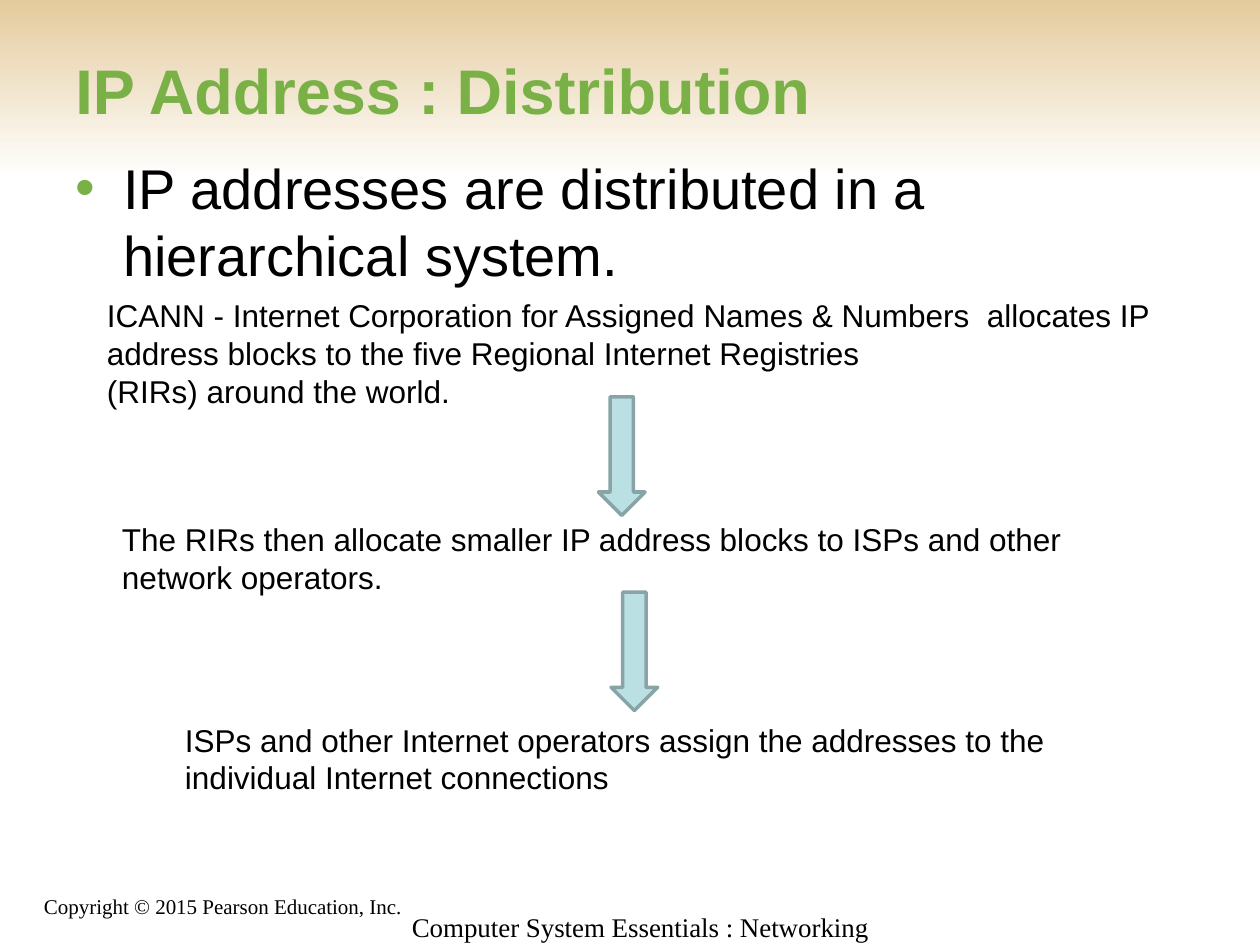
from dataclasses import dataclass

from lxml import etree
from pptx import Presentation
from pptx import util as u
from pptx.dml.color import RGBColor
from pptx.enum import shapes, text
from pptx.oxml import ns

COLORS = {
    "sand": "E4CB9D",
    "white": "FFFFFF",
    "green": "79B146",
    "black": "000000",
    "arrow": "BBE0E3",
    "outline": "89A4A7",
}


@dataclass
class TextBlock:
    left: float
    top: float
    width: float
    height: float
    lines: tuple[str, ...]
    size: float = 18
    font: str = "Arial"
    color: str = "black"
    bold: bool = False
    anchor: text.MSO_ANCHOR = text.MSO_ANCHOR.TOP
    spacing: float = 1.0
    bullet: bool = False


@dataclass
class DownArrow:
    left: float
    top: float
    width: float = 0.37
    height: float = 0.94


TEXT_BLOCKS = (
    TextBlock(0.25, 6.92, 6.08, 0.42, ("Copyright © 2015 Pearson Education, Inc.",),
              size=12, font="Times New Roman", anchor=text.MSO_ANCHOR.BOTTOM),
    TextBlock(0.5, 0.08, 9.08, 1.25, ("IP Address : Distribution",),
              size=36, color="green", bold=True, anchor=text.MSO_ANCHOR.MIDDLE),
    TextBlock(0.5, 1.17, 9, 4.95,
              ("IP addresses are distributed in a hierarchical system.",),
              size=32, bullet=True),
    TextBlock(3.17, 7.23, 3.92, 0.52, ("Computer System Essentials : Networking",),
              size=15.4, font="Times New Roman", spacing=0.8),
    TextBlock(0.75, 2.3, 8.75, 1,
              ("ICANN - Internet Corporation for Assigned Names & Numbers  allocates IP "
               "address blocks to the five Regional Internet Registries",
               "(RIRs) around the world.")),
    TextBlock(0.87, 4.08, 8.17, 0.7,
              ("The RIRs then allocate smaller IP address blocks to ISPs and other "
               "network operators.",)),
    TextBlock(1.37, 5.67, 7.5, 0.7,
              ("ISPs and other Internet operators assign the addresses to the "
               "individual Internet connections",)),
)
ARROWS = (DownArrow(4.75, 3.15), DownArrow(4.85, 4.7))


def rgb(name: str) -> RGBColor:
    return RGBColor.from_string(COLORS[name])


def add_bullet(paragraph, color: str) -> None:
    properties = paragraph._p.get_or_add_pPr()
    properties.set("marL", str(u.Inches(0.38)))
    properties.set("indent", str(u.Inches(-0.38)))
    bullet_color = etree.SubElement(properties, ns.qn("a:buClr"))
    etree.SubElement(bullet_color, ns.qn("a:srgbClr"), val=COLORS[color])
    etree.SubElement(properties, ns.qn("a:buFont"), typeface="Arial")
    etree.SubElement(properties, ns.qn("a:buChar"), char="•")


def add_text_block(slide, block: TextBlock) -> None:
    shape = slide.shapes.add_textbox(
        u.Inches(block.left), u.Inches(block.top),
        u.Inches(block.width), u.Inches(block.height))
    frame = shape.text_frame
    frame.word_wrap = True
    frame.vertical_anchor = block.anchor
    for index, line in enumerate(block.lines):
        paragraph = frame.add_paragraph() if index else frame.paragraphs[0]
        if block.bullet:
            add_bullet(paragraph, "green")
        paragraph.line_spacing = block.spacing
        run = paragraph.add_run()
        run.text = line
        run.font.name = block.font
        run.font.size = u.Pt(block.size)
        run.font.bold = block.bold
        run.font.color.rgb = rgb(block.color)


def add_header_band(slide) -> None:
    shape = slide.shapes.add_shape(
        shapes.MSO_SHAPE.RECTANGLE, 0, 0, u.Inches(10), u.Inches(1.42))
    shape.shadow.inherit = False
    shape.line.fill.background()
    shape.fill.gradient()
    shape.fill.gradient_angle = 270
    for stop, name in zip(shape.fill.gradient_stops, ("sand", "white")):
        stop.color.rgb = rgb(name)


def add_down_arrow(slide, arrow: DownArrow) -> None:
    shape = slide.shapes.add_shape(
        shapes.MSO_SHAPE.DOWN_ARROW, u.Inches(arrow.left), u.Inches(arrow.top),
        u.Inches(arrow.width), u.Inches(arrow.height))
    shape.shadow.inherit = False
    shape.fill.solid()
    shape.fill.fore_color.rgb = rgb("arrow")
    shape.line.color.rgb = rgb("outline")
    shape.line.width = u.Pt(2)


def main() -> None:
    presentation = Presentation()
    presentation.slide_width = u.Inches(10)
    presentation.slide_height = u.Inches(7.5)
    slide = presentation.slides.add_slide(presentation.slide_layouts[6])
    add_header_band(slide)
    for block in TEXT_BLOCKS:
        add_text_block(slide, block)
    for arrow in ARROWS:
        add_down_arrow(slide, arrow)
    presentation.save("out.pptx")


if __name__ == "__main__":
    main()
